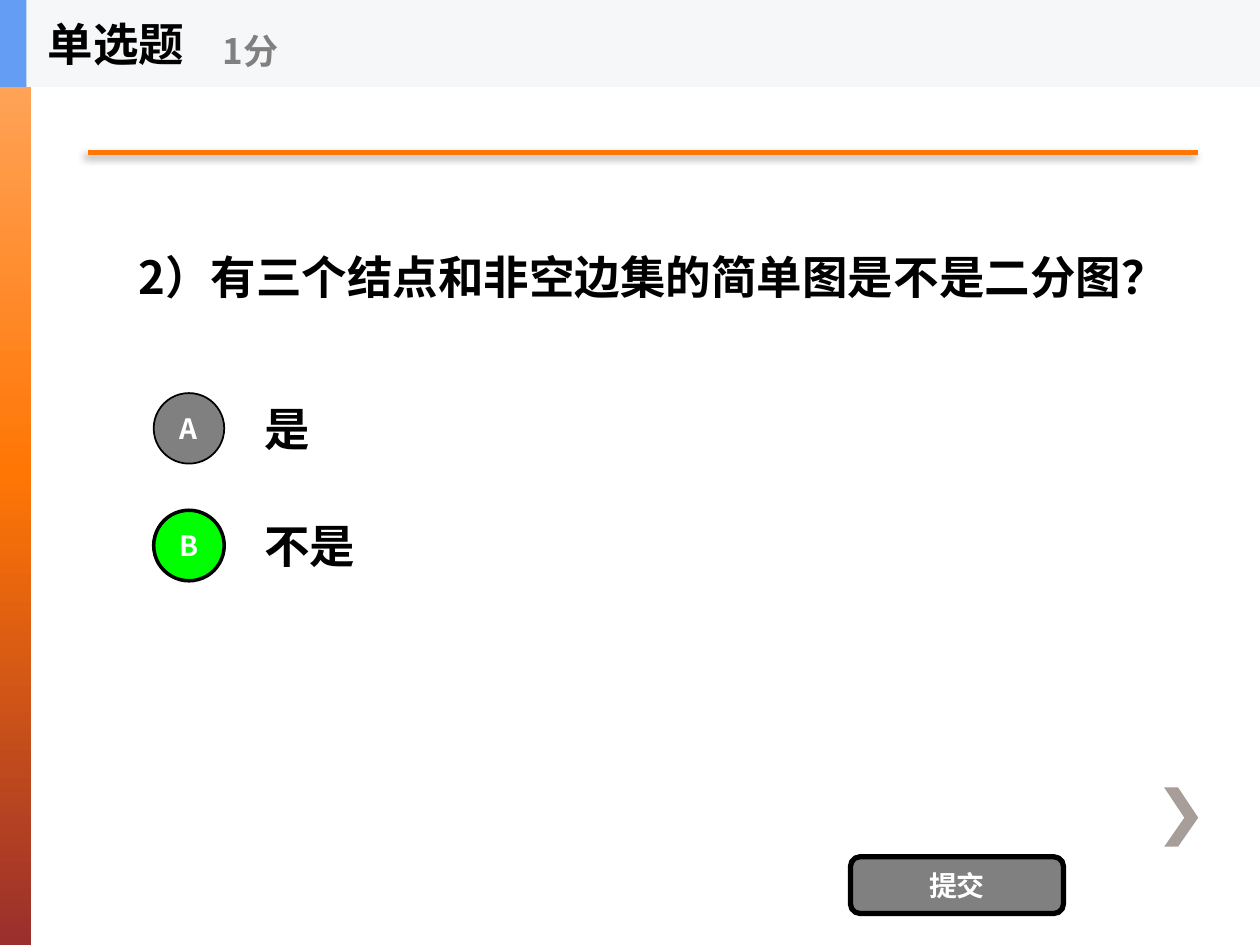
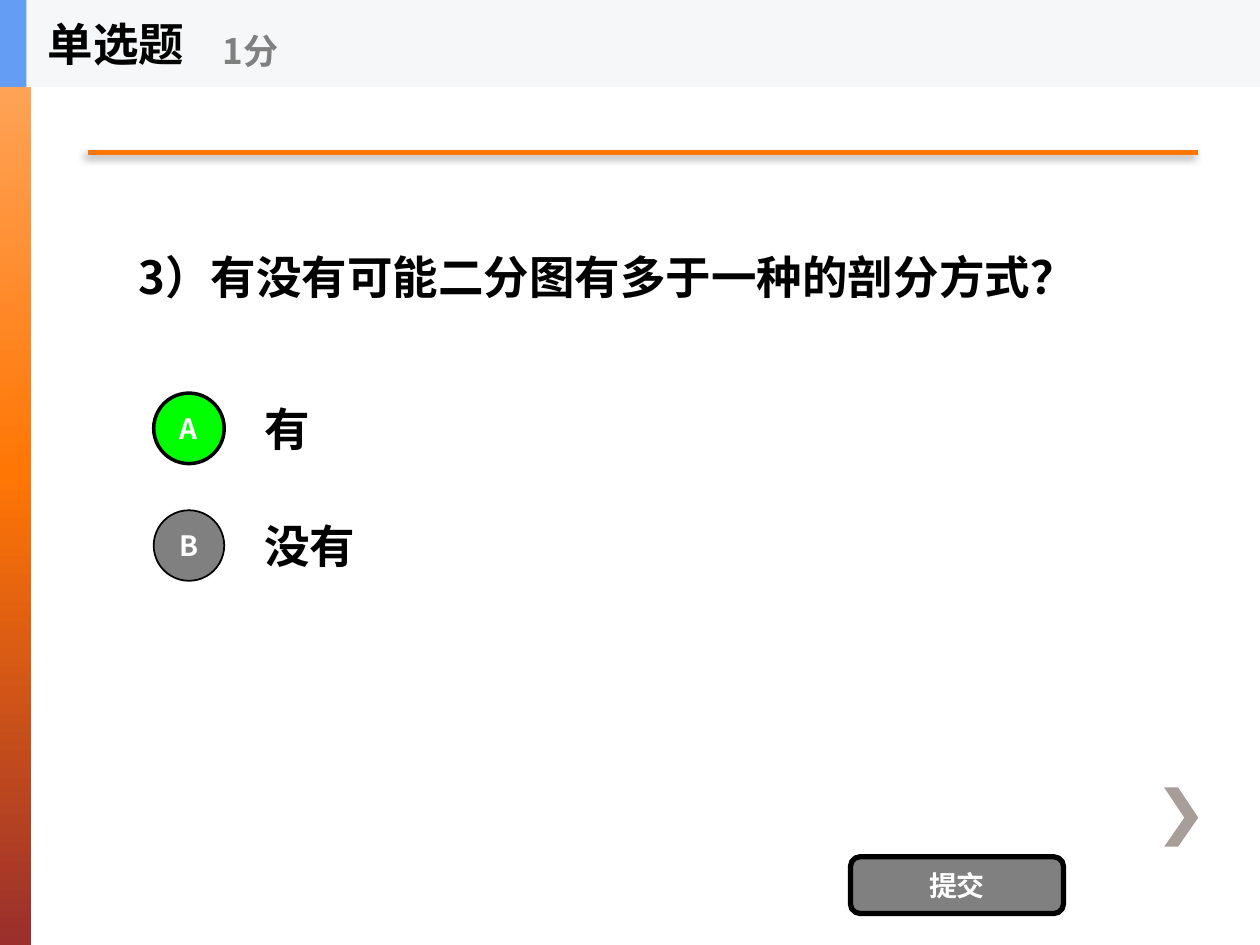
from dataclasses import dataclass

from lxml import etree
from pptx import Presentation
from pptx.dml.color import RGBColor
from pptx.enum.shapes import MSO_CONNECTOR, MSO_SHAPE
from pptx.enum.text import MSO_ANCHOR, PP_ALIGN
from pptx.oxml import parse_xml
from pptx.oxml.ns import nsdecls, qn
from pptx.shapes.autoshape import Shape
from pptx.slide import Slide
from pptx.util import Inches, Pt

RECTANGLE = MSO_SHAPE.RECTANGLE
ROUNDED = MSO_SHAPE.ROUNDED_RECTANGLE
OVAL = MSO_SHAPE.OVAL
STRAIGHT = MSO_CONNECTOR.STRAIGHT
MIDDLE = MSO_ANCHOR.MIDDLE
LEFT, CENTER = PP_ALIGN.LEFT, PP_ALIGN.CENTER


@dataclass(frozen=True)
class Theme:
    font: str = "Noto Sans CJK SC"
    ink: str = "000000"
    white: str = "FFFFFF"
    grey: str = "808080"
    correct: str = "00FF00"
    accent: str = "FF7605"
    arrow: str = "A79D99"
    header: str = "F6F7F8"
    header_mark: str = "639EF4"
    side_stops: tuple[tuple[int, str], ...] = ((0, "FFAD69"), (50, "FF7605"), (100, "9A2F2C"))
    large: int = 26
    medium: int = 20
    small: int = 16


@dataclass(frozen=True)
class Area:
    left: float
    top: float
    width: float
    height: float

    def lengths(self) -> tuple[Inches, Inches, Inches, Inches]:
        return Inches(self.left), Inches(self.top), Inches(self.width), Inches(self.height)


@dataclass(frozen=True)
class Option:
    letter: str
    answer: str
    is_correct: bool = False


@dataclass(frozen=True)
class Question:
    wording: str
    options: tuple[Option, ...]


THEME = Theme()
OPTION_TOP, OPTION_STEP, OPTION_HEIGHT = 3.05, 0.93, 0.7
CIRCLE_SIZE = 0.56
ARROW_POINTS = ((9.35, 6.25), (9.24, 6.25), (9.4, 6.49), (9.24, 6.72), (9.35, 6.72), (9.51, 6.49))
QUESTIONS = (
    Question("2）有三个结点和非空边集的简单图是不是二分图？",
             (Option("A", "是"), Option("B", "不是", True))),
    Question("3）有没有可能二分图有多于一种的剖分方式？",
             (Option("A", "有", True), Option("B", "没有"))),
)


def write(box: Shape, text: str, size: int, color: str, align: PP_ALIGN = LEFT) -> None:
    frame = box.text_frame
    frame.word_wrap = True
    frame.vertical_anchor = MIDDLE
    para = frame.paragraphs[0]
    para.alignment = align
    span = para.add_run()
    span.text = text
    span.font.size = Pt(size)
    span.font.bold = True
    span.font.color.rgb = RGBColor.from_string(color)
    span.font.name = THEME.font
    east_asian = etree.SubElement(span.font._element, qn("a:ea"))
    east_asian.set("typeface", THEME.font)


def add_text(page: Slide, area: Area, text: str, size: int, color: str = THEME.ink) -> None:
    write(page.shapes.add_textbox(*area.lengths()), text, size, color)


def paint(shape: Shape, fill: str, line_width: int = 0) -> None:
    """Fill a shape and outline it only when a line width is given."""
    shape.shadow.inherit = False
    shape.fill.solid()
    shape.fill.fore_color.rgb = RGBColor.from_string(fill)
    if line_width:
        shape.line.color.rgb = RGBColor.from_string(THEME.ink)
        shape.line.width = Pt(line_width)
    else:
        shape.line.fill.background()


def add_panel(page: Slide, area: Area, fill: str, kind: MSO_SHAPE = RECTANGLE,
              line_width: int = 0) -> Shape:
    panel = page.shapes.add_shape(kind, *area.lengths())
    paint(panel, fill, line_width)
    return panel


def add_button(page: Slide, area: Area, kind: MSO_SHAPE, label: str,
               fill: str, line_width: int) -> None:
    button = add_panel(page, area, fill, kind, line_width)
    frame = button.text_frame
    frame.margin_left = frame.margin_right = frame.margin_top = frame.margin_bottom = 0
    write(button, label, THEME.small, THEME.white, CENTER)


def add_side_band(page: Slide) -> None:
    band = add_panel(page, Area(0, 0, 0.25, 7.5), THEME.accent)
    stops = "".join(f'<a:gs pos="{percent * 1000}"><a:srgbClr val="{color}"/></a:gs>'
                    for percent, color in THEME.side_stops)
    gradient = parse_xml(f'<a:gradFill {nsdecls("a")} rotWithShape="1"><a:gsLst>{stops}</a:gsLst>'
                         '<a:lin ang="5400000" scaled="0"/></a:gradFill>')
    properties = band._element.spPr
    properties.replace(properties.find(qn("a:solidFill")), gradient)


def add_next_arrow(page: Slide) -> None:
    points = [(Inches(x), Inches(y)) for x, y in ARROW_POINTS]
    builder = page.shapes.build_freeform(*points[0])
    builder.add_line_segments(points[1:], close=True)
    paint(builder.convert_to_shape(), THEME.arrow)


def add_rule(page: Slide) -> None:
    rule = page.shapes.add_connector(STRAIGHT, Inches(0.7), Inches(1.21), Inches(9.51), Inches(1.21))
    rule.line.color.rgb = RGBColor.from_string(THEME.accent)
    rule.line.width = Pt(2.5)
    rule._element.spPr.append(parse_xml(
        f'<a:effectLst {nsdecls("a")}><a:outerShdw blurRad="{Pt(5)}" dist="{Pt(3)}" '
        f'dir="8100000" algn="tr" rotWithShape="0"><a:srgbClr val="{THEME.ink}">'
        '<a:alpha val="45000"/></a:srgbClr></a:outerShdw></a:effectLst>'))


def add_header(page: Slide) -> None:
    add_panel(page, Area(0, 0, 10, 0.69), THEME.header)
    add_panel(page, Area(0, 0, 0.21, 0.69), THEME.header_mark)
    add_text(page, Area(0.28, 0, 2.08, 0.69), "单选题", THEME.large)
    add_text(page, Area(1.67, 0.12, 2.5, 0.56), "1分", THEME.medium, THEME.grey)


def add_option(page: Slide, option: Option, row: int) -> None:
    top = OPTION_TOP + row * OPTION_STEP
    add_text(page, Area(2, top, 7, OPTION_HEIGHT), option.answer, THEME.large)
    circle_top = top + (OPTION_HEIGHT - CIRCLE_SIZE) / 2
    fill, line_width = (THEME.correct, 2) if option.is_correct else (THEME.grey, 1)
    add_button(page, Area(1.22, circle_top, CIRCLE_SIZE, CIRCLE_SIZE), OVAL,
               option.letter, fill, line_width)


def add_question_page(page: Slide, question: Question) -> None:
    add_side_band(page)
    add_next_arrow(page)
    add_rule(page)
    add_text(page, Area(1, 1.35, 8.86, 1.69), question.wording, THEME.large)
    for row, option in enumerate(question.options):
        add_option(page, option, row)
    add_button(page, Area(6.75, 6.8, 1.69, 0.45), ROUNDED, "提交", THEME.grey, 3)
    add_header(page)


def main() -> None:
    deck = Presentation()
    deck.slide_width, deck.slide_height = Inches(10), Inches(7.5)
    blank = deck.slide_layouts[6]
    for question in QUESTIONS:
        add_question_page(deck.slides.add_slide(blank), question)
    deck.save("out.pptx")


if __name__ == "__main__":
    main()
